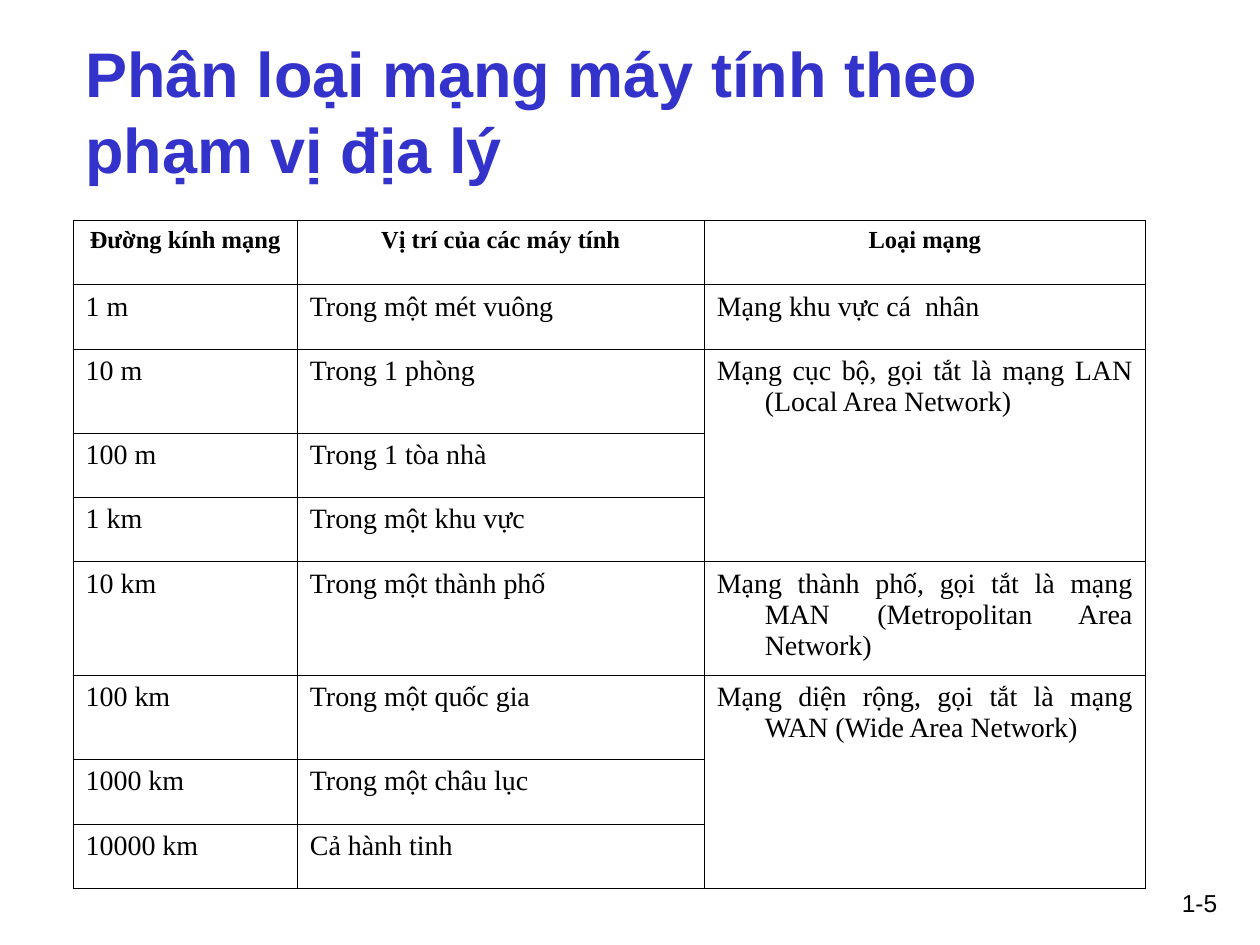
import pptx
import pptx.util
import pptx.dml.color
import pptx.enum.text
import pptx.oxml.ns
import lxml.etree

Inches, Pt = pptx.util.Inches, pptx.util.Pt
ALIGN = pptx.enum.text.PP_ALIGN
ANCHOR = pptx.enum.text.MSO_ANCHOR
qn = pptx.oxml.ns.qn

COLORS = {"title": "3333CC", "text": "000000", "border": "000000"}
TITLE = "Phân loại mạng máy tính theo phạm vị địa lý"
PAGE = "1-5"
ROWS = [
    ("Đường kính mạng", "Vị trí của các máy tính", "Loại mạng"),
    ("1 m", "Trong một mét vuông", "Mạng khu vực cá  nhân"),
    ("10 m", "Trong 1 phòng", "Mạng cục bộ, gọi tắt là mạng LAN (Local Area Network)"),
    ("100 m", "Trong 1 tòa nhà", None),
    ("1 km", "Trong một khu vực", None),
    ("10 km", "Trong một thành phố",
     "Mạng thành phố, gọi tắt là mạng MAN (Metropolitan Area Network)"),
    ("100 km", "Trong một quốc gia",
     "Mạng diện rộng, gọi tắt là mạng WAN (Wide Area Network)"),
    ("1000 km", "Trong một châu lục", None),
    ("10000 km", "Cả hành tinh", None),
]
COL_WIDTHS = [1.78, 3.23, 3.5]
ROW_HEIGHTS = [0.51, 0.51, 0.67, 0.51, 0.51, 0.9, 0.67, 0.51, 0.51]
MERGES = [(2, 4), (6, 8)]
INDENT = 0.38


def add_run(p, text, size, font, color, bold=False):
    r = p.add_run()
    r.text = text
    r.font.size = Pt(size)
    r.font.name = font
    r.font.bold = bold
    r.font.color.rgb = pptx.dml.color.RGBColor.from_string(COLORS[color])


def add_text(slide, box, text, size, color, align, anchor, bold=False):
    tf = slide.shapes.add_textbox(*map(Inches, box)).text_frame
    tf.word_wrap = True
    tf.vertical_anchor = anchor
    p = tf.paragraphs[0]
    p.alignment = align
    add_run(p, text, size, "Arial", color, bold)


def set_borders(cell):
    tcPr = cell._tc.get_or_add_tcPr()
    for i, side in enumerate(("lnL", "lnR", "lnT", "lnB")):
        ln = lxml.etree.Element(qn("a:" + side), w=str(Pt(0.45)))
        fill = lxml.etree.SubElement(ln, qn("a:solidFill"))
        lxml.etree.SubElement(fill, qn("a:srgbClr"), val=COLORS["border"])
        tcPr.insert(i, ln)


def fill_cell(cell, text, header):
    cell.fill.background()
    set_borders(cell)
    if text is None:
        return
    p = cell.text_frame.paragraphs[0]
    p.alignment = ALIGN.CENTER if header else ALIGN.JUSTIFY
    pPr = p._p.get_or_add_pPr()
    pPr.set("marL", str(Inches(INDENT)))
    pPr.set("indent", str(-Inches(INDENT)))
    add_run(p, text, 14 if header else 16, "Times New Roman", "text", header)


def add_network_table(slide):
    frame = slide.shapes.add_table(
        len(ROWS), len(COL_WIDTHS), Inches(0.58), Inches(1.75),
        Inches(sum(COL_WIDTHS)), Inches(sum(ROW_HEIGHTS)))
    table = frame.table
    table.first_row = False
    table.horz_banding = False
    for col, width in zip(table.columns, COL_WIDTHS):
        col.width = Inches(width)
    for row, height in zip(table.rows, ROW_HEIGHTS):
        row.height = Inches(height)
    for i, texts in enumerate(ROWS):
        for j, text in enumerate(texts):
            fill_cell(table.cell(i, j), text, i == 0)
    for first, last in MERGES:
        table.cell(first, 2).merge(table.cell(last, 2))


def main():
    prs = pptx.Presentation()
    prs.slide_width, prs.slide_height = Inches(10), Inches(7.5)
    slide = prs.slides.add_slide(prs.slide_layouts[6])
    add_text(slide, (9.08, 7, 0.68, 0.5), PAGE, 14, "text", ALIGN.RIGHT, ANCHOR.TOP)
    add_text(slide, (0.58, 0.25, 8.5, 1.25), TITLE, 36, "title",
             ALIGN.LEFT, ANCHOR.MIDDLE, True)
    add_network_table(slide)
    prs.save("out.pptx")


if __name__ == "__main__":
    main()
